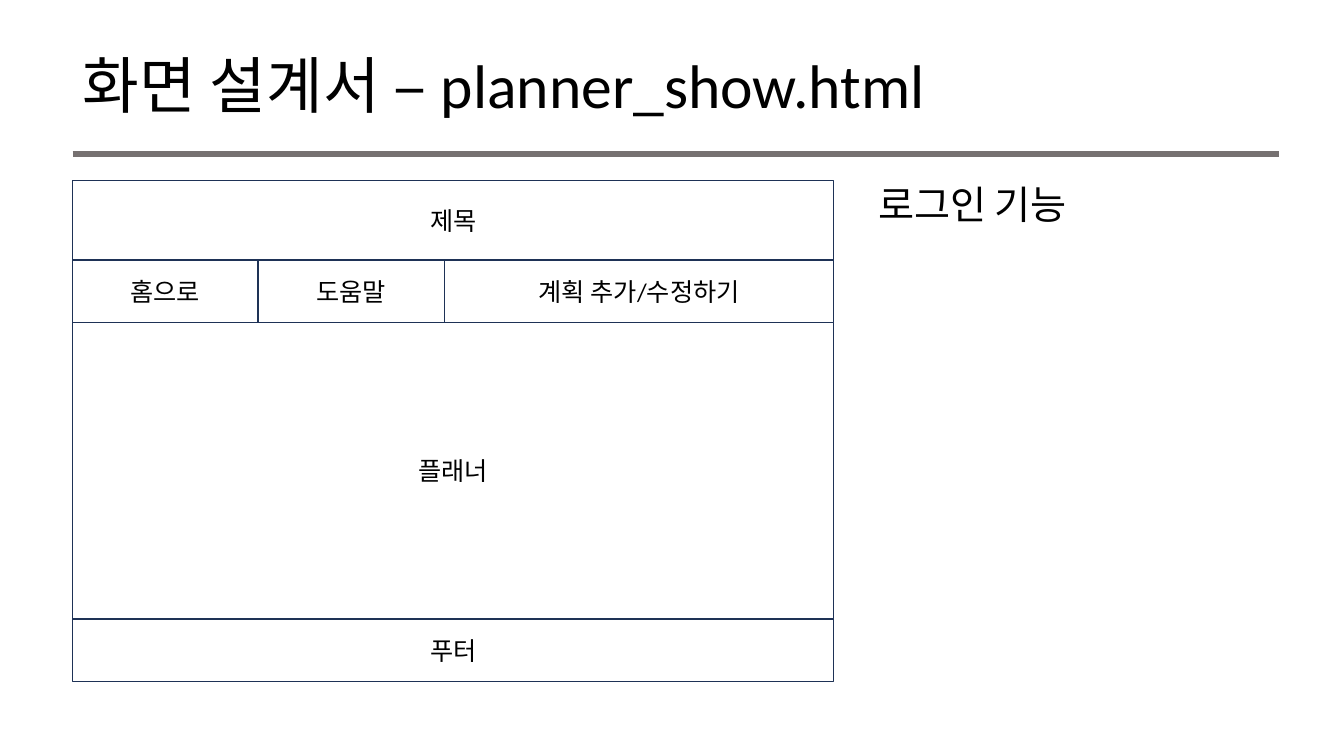
"""Build the screen layout slide for planner_show.html."""
from itertools import accumulate

from pptx import Presentation
from pptx.dml.color import RGBColor
from pptx.enum.shapes import MSO_CONNECTOR as Link, MSO_SHAPE as Shape
from pptx.enum.text import MSO_ANCHOR as Anchor, MSO_AUTO_SIZE as Fit, PP_ALIGN as Align
from pptx.oxml.ns import qn
from pptx.util import Inches, Pt
from lxml.etree import SubElement

TITLE = "화면 설계서 – planner_show.html"
NOTE = "로그인 기능"
COLS = (1.84, 1.85, 3.86)
ROWS = (
    (0.79, [("제목", 3)]),
    (0.62, [("홈으로", 1), ("도움말", 1), ("계획 추가/수정하기", 1)]),
    (2.94, [("플래너", 3)]),
    (0.62, [("푸터", 3)]),
)
SIZE = (13.33, 7.5)
LEFT, RIGHT, TOP = 0.72, 12.69, 1.79
HEAD = (LEFT, 0.4, RIGHT - LEFT, 0.96)
RULE = 1.53
SIDE = 8.61


class Theme:
    """Colours, type sizes and line widths."""
    font = "Calibri"
    ink = RGBColor.from_string("000000")
    paper = RGBColor.from_string("FFFFFF")
    edge = RGBColor.from_string("1E3256")
    rule = RGBColor.from_string("767171")
    head, note, cell = 44, 28, 18
    thin, thick = 1, 4.5


def write(shape, text, size, align=Align.LEFT, anchor=Anchor.MIDDLE, lead=1.0, before=0):
    """Put formatted text in a shape."""
    frame = shape.text_frame
    frame.word_wrap = True
    frame.auto_size = Fit.NONE
    frame.vertical_anchor = anchor
    para = frame.paragraphs[0]
    para.alignment, para.line_spacing = align, lead
    para.space_before = Pt(before)
    run = para.add_run()
    run.text = text
    font = run.font
    font.name, font.size = Theme.font, Pt(size)
    font.color.rgb = Theme.ink


def place(shape, box):
    """Move a shape to a box given in inches."""
    shape.left, shape.top, shape.width, shape.height = map(Inches, box)


def draw_cell(slide, text, box):
    """Draw one framed area of the screen."""
    cell = slide.shapes.add_shape(Shape.RECTANGLE, *map(Inches, box))
    cell.shadow.inherit = False
    cell.fill.solid()
    cell.fill.fore_color.rgb = Theme.paper
    cell.line.color.rgb = Theme.edge
    cell.line.width = Pt(Theme.thin)
    write(cell, text, Theme.cell, align=Align.CENTER)


def draw_grid(slide):
    """Draw the screen areas row by row."""
    xs = list(accumulate(COLS, initial=LEFT))
    ys = accumulate((high for high, _ in ROWS), initial=TOP)
    for y, (high, cells) in zip(ys, ROWS):
        col = 0
        for text, span in cells:
            end = col + span
            draw_cell(slide, text, (xs[col], y, xs[end] - xs[col], high))
            col = end


def draw_rule(slide):
    """Draw the rule below the title."""
    ends = map(Inches, (LEFT, RULE, RIGHT, RULE))
    rule = slide.shapes.add_connector(Link.STRAIGHT, *ends)
    rule.line.color.rgb = Theme.rule
    rule.line.width = Pt(Theme.thick)
    SubElement(rule._element.spPr, qn("a:effectLst"))


def main():
    """Assemble and save the slide."""
    deck = Presentation()
    deck.slide_width, deck.slide_height = map(Inches, SIZE)
    slide = deck.slides.add_slide(deck.slide_layouts[5])
    title = slide.shapes.title
    place(title, HEAD)
    write(title, TITLE, Theme.head, lead=0.9)
    high = sum(row[0] for row in ROWS)
    note = slide.shapes.add_textbox(*map(Inches, (SIDE, TOP, RIGHT - SIDE, high)))
    write(note, NOTE, Theme.note, anchor=Anchor.TOP, lead=0.9, before=10)
    draw_rule(slide)
    draw_grid(slide)
    deck.save("out.pptx")


if __name__ == "__main__":
    main()
